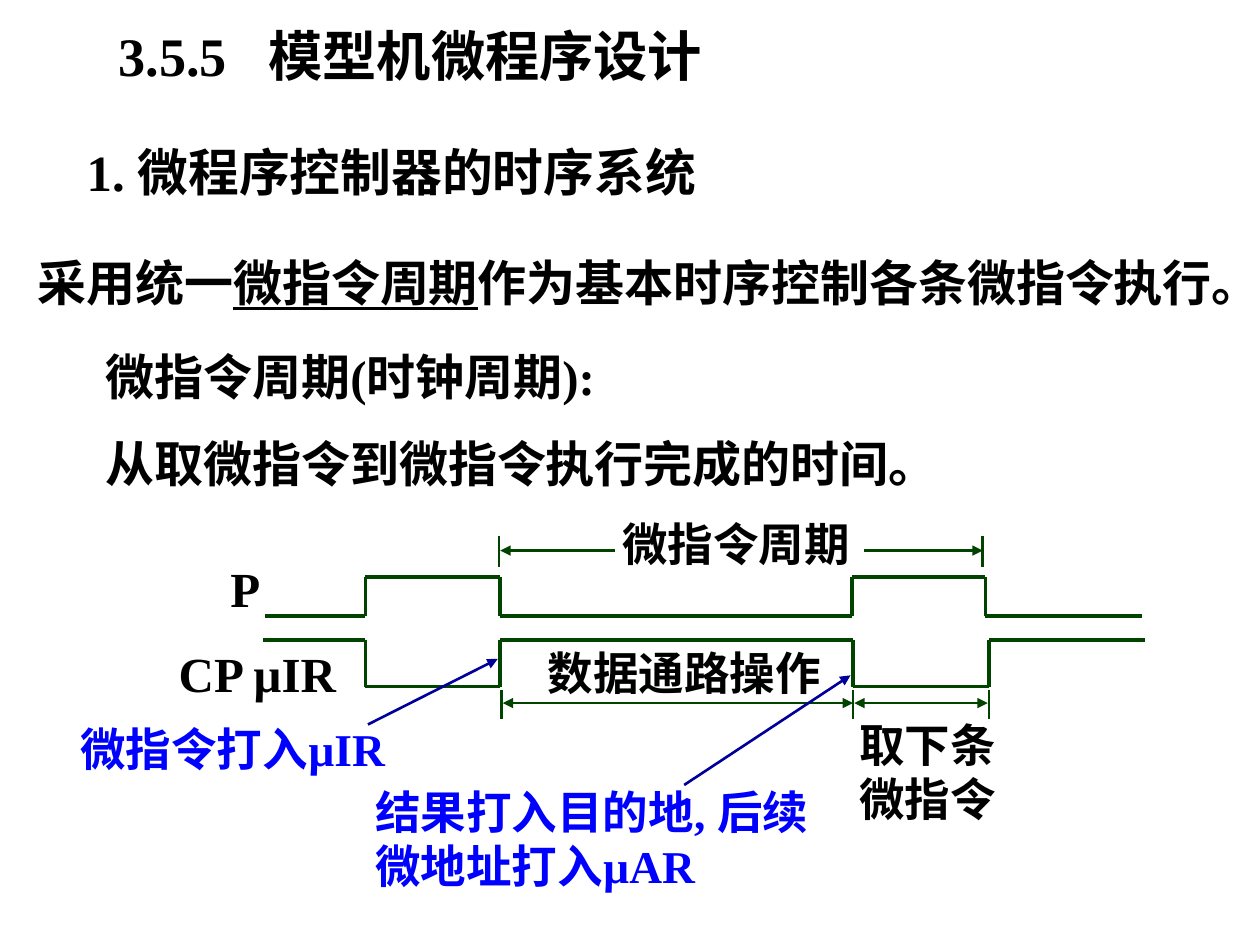
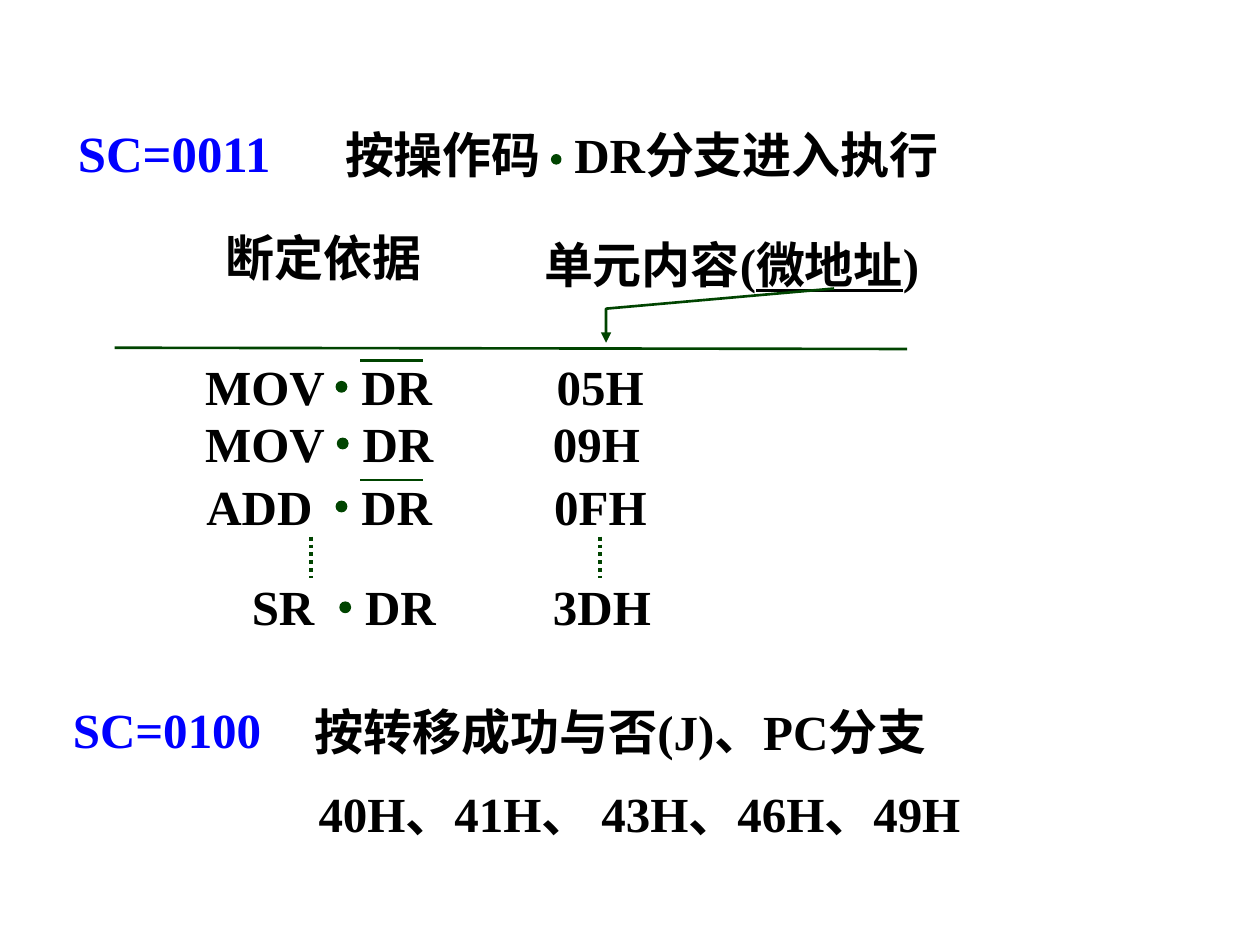
"""Two slides on microprogram timing and on branching by micro-address."""
import pptx
import pptx.dml.color
import pptx.enum.dml
import pptx.enum.shapes
import pptx.enum.text
import pptx.oxml.ns
import pptx.util
from lxml import etree

Inches = pptx.util.Inches
qn = pptx.oxml.ns.qn
BLACK = pptx.dml.color.RGBColor(0x00, 0x00, 0x00)
BLUE = pptx.dml.color.RGBColor(0x00, 0x00, 0xFF)
NAVY = pptx.dml.color.RGBColor(0x00, 0x00, 0x99)
GREEN = pptx.dml.color.RGBColor(0x00, 0x44, 0x00)
SERIF = "Times New Roman"
SANS = "Noto Sans CJK SC"
TITLE_LAYOUT, BLANK_LAYOUT = 5, 6


class Deck:
    def __init__(self):
        self.prs = pptx.Presentation()
        self.prs.slide_width = Inches(10)
        self.prs.slide_height = Inches(7.5)
        self.slide = None

    def start_slide(self, layout):
        self.slide = self.prs.slides.add_slide(self.prs.slide_layouts[layout])

    def fill_text(self, box, parts, size, color=BLACK, font=SERIF, tab=None, spacing=None):
        frame = box.text_frame
        frame.word_wrap = True
        frame.auto_size = pptx.enum.text.MSO_AUTO_SIZE.SHAPE_TO_FIT_TEXT
        frame.vertical_anchor = pptx.enum.text.MSO_ANCHOR.TOP
        frame.text = parts[0]
        paragraph = frame.paragraphs[0]
        paragraph.alignment = pptx.enum.text.PP_ALIGN.LEFT
        if spacing:
            paragraph.line_spacing = spacing
        for part in parts[1:]:
            paragraph.add_run().text = part
        for index, run in enumerate(paragraph.runs):
            run.font.size = pptx.util.Pt(size)
            run.font.bold = True
            run.font.underline = index % 2 == 1
            run.font.name = font
            run.font.color.rgb = color
            etree.SubElement(run.font._element, qn("a:ea")).set("typeface", SANS)
        if tab:
            stops = etree.SubElement(paragraph._p.get_or_add_pPr(), qn("a:tabLst"))
            stop = etree.SubElement(stops, qn("a:tab"))
            stop.set("pos", str(Inches(tab)))
            stop.set("algn", "l")

    def title(self, left, top, width, height, text, size, **style):
        box = self.slide.shapes.title
        box.left, box.top = Inches(left), Inches(top)
        box.width, box.height = Inches(width), Inches(height)
        self.fill_text(box, [text], size, **style)

    def text(self, left, top, width, *parts, size=28, height=0.57, **style):
        box = self.slide.shapes.add_textbox(
            Inches(left), Inches(top), Inches(width), Inches(height))
        self.fill_text(box, parts, size, **style)

    def stroke(self, shape, color, weight, dash=None, arrows=()):
        shape.line.color.rgb = color
        shape.line.width = pptx.util.Pt(weight)
        if dash:
            shape.line.dash_style = dash
        outline = shape._element.spPr.find(qn("a:ln"))
        for end in arrows:
            etree.SubElement(outline, qn(f"a:{end}End")).set("type", "triangle")

    def line(self, x1, y1, x2, y2, color=GREEN, weight=1.5, **style):
        connector = self.slide.shapes.add_connector(
            pptx.enum.shapes.MSO_CONNECTOR.STRAIGHT,
            Inches(x1), Inches(y1), Inches(x2), Inches(y2))
        self.stroke(connector, color, weight, **style)
        etree.SubElement(connector._element.spPr, qn("a:effectLst"))

    def wave(self, start, edges, end, rest, pulse):
        """Draw a signal that switches level at every edge."""
        x, level, other = start, rest, pulse
        for edge in edges:
            self.line(x, level, edge, level, weight=2)
            self.line(edge, level, edge, other, weight=2)
            x, level, other = edge, other, level
        self.line(x, level, end, level, weight=2)

    def dot(self, left, top, size=0.08):
        dot = self.slide.shapes.add_shape(
            pptx.enum.shapes.MSO_SHAPE.OVAL,
            Inches(left), Inches(top), Inches(size), Inches(size))
        dot.shadow.inherit = False
        dot.fill.solid()
        dot.fill.fore_color.rgb = GREEN
        self.stroke(dot, GREEN, 1)

    def bent_arrow(self, *points):
        corners = [(Inches(x), Inches(y)) for x, y in points]
        builder = self.slide.shapes.build_freeform(*corners[0])
        builder.add_line_segments(corners[1:], close=False)
        arrow = builder.convert_to_shape()
        arrow.shadow.inherit = False
        arrow.fill.background()
        self.stroke(arrow, GREEN, 1.5, arrows=["tail"])


def timing_slide(deck):
    deck.start_slide(TITLE_LAYOUT)
    deck.title(0.84, 0.13, 4.94, 0.62, "3.5.5\t模型机微程序设计", 31, tab=1.19)
    deck.text(0.2, 1.93, 9.8, "采用统一", "微指令周期",
              "作为基本时序控制各条微指令执行。", height=0.6, spacing=1.05)
    deck.text(0.59, 1.07, 5.64, "1. 微程序控制器的时序系统", size=29, height=0.58)
    deck.text(0.74, 2.7, 6.21, "微指令周期(时钟周期):")
    deck.text(0.74, 3.39, 9.24, "从取微指令到微指令执行完成的时间。")

    deck.text(1.73, 4.38, 0.68, "P")
    deck.wave(2.1, [2.9, 3.97, 6.76, 7.82], 9.06, rest=4.89, pulse=4.58)
    deck.text(1.32, 5.06, 2.24, "CP µIR")
    deck.wave(2.09, [2.9, 3.97, 6.77, 7.85], 9.09, rest=5.08, pulse=5.45)

    for x in (3.96, 7.8):
        deck.line(x, 4.25, x, 4.5)
    deck.line(3.97, 4.37, 4.88, 4.37, arrows=["head"])
    deck.line(6.86, 4.37, 7.8, 4.37, arrows=["tail"])
    for x in (3.98, 6.77, 7.85):
        deck.line(x, 5.48, x, 5.71)
    for start, end in ((3.99, 6.77), (6.78, 7.84)):
        deck.line(start, 5.58, end, 5.58, arrows=["head", "tail"])
    deck.line(2.92, 5.75, 3.95, 5.23, NAVY, arrows=["tail"])
    deck.line(5.43, 6.23, 6.75, 5.36, NAVY, arrows=["tail"])

    deck.text(4.84, 4.05, 2.4, "微指令周期", size=26, height=0.53, font=SANS)
    deck.text(4.25, 5.07, 2.6, "数据通路操作", size=26, height=0.53, font=SANS)
    deck.text(6.72, 5.64, 1.55, "取下条微指令", size=26, height=0.97, font=SANS)
    deck.text(0.54, 5.67, 2.9, "微指令打入µIR", size=26, height=0.53, color=BLUE)
    deck.text(2.88, 6.17, 3.68, "结果打入目的地, 后续微地址打入µAR",
              size=26, height=0.97, color=BLUE)


def branch_slide(deck):
    deck.start_slide(BLANK_LAYOUT)
    deck.text(0.52, 0.92, 2.33, "SC=0011", size=29, height=0.58, color=BLUE)
    deck.text(2.64, 0.94, 6.21, "按操作码\tDR分支进入执行", tab=1.82)
    deck.dot(4.38, 1.23, 0.07)

    deck.text(1.69, 1.76, 3.11, "断定依据")
    deck.text(4.22, 1.81, 3.83, "单元内容(", "微地址", ")")
    deck.line(0.91, 2.76, 7.2, 2.77)
    deck.bent_arrow((6.62, 2.29), (4.81, 2.45), (4.81, 2.72))

    branches = [
        (2.78, "MOV", 1.53, 2.77, True, "05H", 4.32),
        (3.23, "MOV", 1.53, 2.78, False, "09H", 4.29),
        (3.73, "ADD", 1.54, 2.77, True, "0FH", 4.3),
        (4.53, "SR", 1.9, 2.8, False, "3DH", 4.29),
    ]
    for top, opcode, opcode_left, dr_left, negated, address, address_left in branches:
        deck.text(opcode_left, top, 1.4, opcode)
        deck.text(dr_left, top, 0.9, "DR")
        deck.dot(dr_left - 0.1, top + 0.25)
        if negated:
            deck.line(2.86, top + 0.08, 3.36, top + 0.08)
        deck.text(address_left, top, 1.25, address)
    for x in (2.47, 4.76):
        deck.line(x, 4.26, x, 4.59, weight=2.25,
                  dash=pptx.enum.dml.MSO_LINE.ROUND_DOT)

    deck.text(0.48, 5.5, 2.33, "SC=0100", color=BLUE)
    deck.text(2.4, 5.52, 7.23, "按转移成功与否(J)、PC分支")
    deck.text(2.43, 6.17, 6.27, "40H、41H、 43H、46H、49H")


def main():
    deck = Deck()
    timing_slide(deck)
    branch_slide(deck)
    deck.prs.save("out.pptx")


if __name__ == "__main__":
    main()
